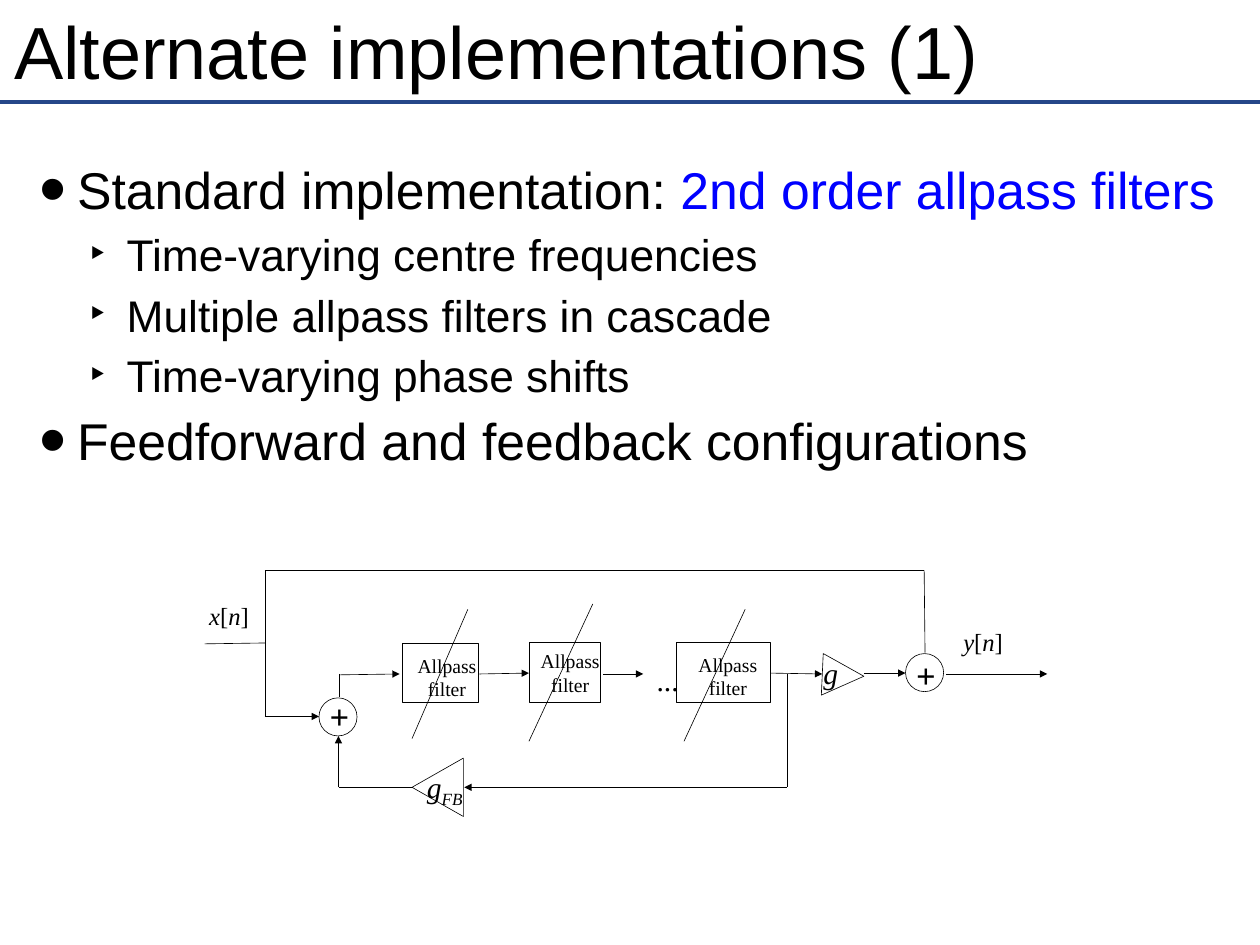
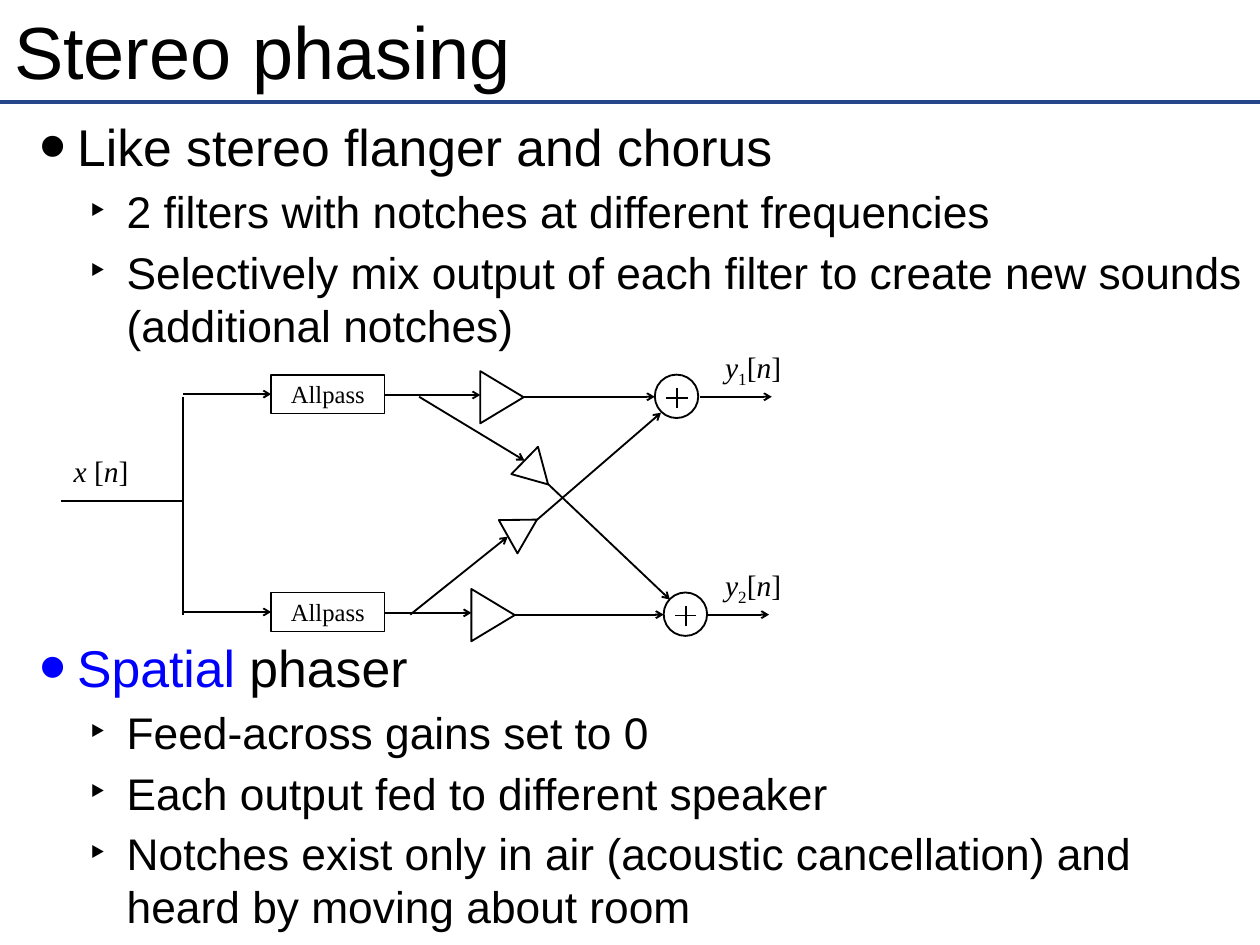
from lxml import etree
from pptx import Presentation
from pptx.dml.color import RGBColor
from pptx.enum.shapes import MSO_CONNECTOR, MSO_SHAPE
from pptx.enum.text import MSO_ANCHOR, MSO_AUTO_SIZE, PP_ALIGN
from pptx.oxml.ns import qn
from pptx.util import Pt

PX = 9144
WIDTH, HEIGHT = 1422, 1067
BLACK = RGBColor(0x00, 0x00, 0x00)
WHITE = RGBColor(0xFF, 0xFF, 0xFF)
BLUE = RGBColor(0x00, 0x00, 0xFF)
RULE = RGBColor(0x25, 0x47, 0x89)
SANS, SERIF = "Arial", "Times New Roman"
STRAIGHT = MSO_CONNECTOR.STRAIGHT
RECT, OVAL, TRIANGLE = MSO_SHAPE.RECTANGLE, MSO_SHAPE.OVAL, MSO_SHAPE.ISOSCELES_TRIANGLE
TOP, MIDDLE = MSO_ANCHOR.TOP, MSO_ANCHOR.MIDDLE
LEFT, CENTER = PP_ALIGN.LEFT, PP_ALIGN.CENTER
NO_FIT = MSO_AUTO_SIZE.NONE

LEVELS = [
    dict(size=42, margin=69, char="•", scale=150),
    dict(size=36, margin=125, char="‣", scale=100),
]
HANGING = 42

ALTERNATE = [
    (0, [("Standard implementation: ", BLACK), ("2nd order allpass filters", BLUE)]),
    (1, [("Time-varying centre frequencies", BLACK)]),
    (1, [("Multiple allpass filters in cascade", BLACK)]),
    (1, [("Time-varying phase shifts", BLACK)]),
    (0, [("Feedforward and feedback configurations", BLACK)]),
]
STEREO = [
    (0, [("Like stereo flanger and chorus", BLACK)]),
    (1, [("2 filters with notches at different frequencies", BLACK)]),
    (1, [("Selectively mix output of each filter to create new sounds "
          "(additional notches)", BLACK)]),
]
SPATIAL = [
    (0, [("Spatial ", BLUE), ("phaser", BLACK)]),
    (1, [("Feed-across gains set to 0", BLACK)]),
    (1, [("Each output fed to different speaker", BLACK)]),
    (1, [("Notches exist only in air (acoustic cancellation) and heard by "
          "moving about room", BLACK)]),
]


def signal(name, sub=""):
    return [(name, "i"), (sub, "_"), ("[", ""), ("n", "i"), ("]", "")]


FILTER = [[("Allpass", "")], [("filter", "")]]

CASCADE_SHAPES = [
    (RECT, (454, 727, 86, 66), 0.75),
    (RECT, (597, 726, 81, 67), 0.75),
    (RECT, (764, 726, 106, 67), 0.75),
    (OVAL, (1022, 738, 43, 43), 0.5),
    (OVAL, (360, 788, 43, 43), 0.5),
]
FEEDBACK_GAIN = [(465, 889), (523, 856), (523, 922)]
FORWARD_GAIN = (928, 739, 47, 47)
CASCADE_LINES = [
    (231, 727, 299, 726), (465, 889, 383, 889), (383, 761, 383, 787),
    (299, 644, 1043, 644), (1043, 644, 1044, 737), (299, 645, 299, 808),
    (889, 761, 889, 889),
    (465, 834, 528, 688), (597, 837, 669, 682), (772, 837, 841, 688),
]
CASCADE_ARROWS = [
    (681, 761, 726, 761), (888, 889, 524, 889), (383, 762, 451, 761),
    (1068, 761, 1182, 761), (299, 809, 360, 809), (382, 889, 382, 831),
    (541, 761, 597, 760), (870, 760, 928, 761), (975, 760, 1022, 760),
]
CASCADE_LABELS = [
    ((236, 679, 45, 34), [signal("x")], 20),
    ((1087, 708, 45, 34), [signal("y")], 20),
    ((471, 738, 67, 54), FILTER, 16),
    ((610, 733, 67, 54), FILTER, 16),
    ((788, 737, 67, 54), FILTER, 16),
    ((741, 748, 25, 40), [[("...", "")]], 24),
    ((480, 868, 44, 40), [[("g", "i"), ("FB", "i_")]], 24),
    ((929, 740, 17, 40), [[("g", "i")]], 24),
    ((1034, 738, 22, 47), [[("+", "b")]], 28),
    ((372, 785, 22, 47), [[("+", "b")]], 28),
]

CHANNELS = [
    dict(y=448, sub="1", gain=537, adder=739, out=(790, 871)),
    dict(y=694, sub="2", gain=527, adder=749, out=(798, 868)),
]
STEREO_LINES = [(69, 566, 207, 566), (207, 448, 207, 694)]
CROSS_ARROWS = [
    (473, 448, 592, 520), (619, 547, 756, 677),
    (463, 694, 573, 606), (606, 587, 746, 466),
]
CROSS_GAINS = [((573, 512, 44, 37), 255), ((557, 578, 44, 37), 300)]


def emu(*lengths):
    return [round(v * PX) for v in lengths]


def set_frame(tf, inset, anchor, wrap=True):
    tf.word_wrap = wrap
    tf.auto_size = NO_FIT
    tf.vertical_anchor = anchor
    tf.margin_left = tf.margin_right = tf.margin_top = tf.margin_bottom = inset * PX


def add_run(p, text, font, size, color=BLACK):
    r = p.add_run()
    r.text = text
    r.font.name = font
    r.font.size = Pt(size)
    r.font.color.rgb = color
    return r


def add_line(s, ends, width, arrow=None, color=BLACK):
    line = s.shapes.add_connector(STRAIGHT, *emu(*ends))
    line.line.color.rgb = color
    line.line.width = Pt(width)
    if arrow:
        etree.SubElement(line.line._get_or_add_ln(), qn("a:tailEnd"), type=arrow)
    etree.SubElement(line._element.spPr, qn("a:effectLst"))


def style(sp, width, fill=None):
    sp.shadow.inherit = False
    if fill is None:
        sp.fill.background()
    else:
        sp.fill.solid()
        sp.fill.fore_color.rgb = fill
    sp.line.color.rgb = BLACK
    sp.line.width = Pt(width)


def add_shape(s, kind, at, width, fill=None, rotation=0):
    sp = s.shapes.add_shape(kind, *emu(*at))
    sp.rotation = rotation
    style(sp, width, fill)
    return sp


def write_label(tf, paragraphs, size):
    for i, runs in enumerate(paragraphs):
        p = tf.add_paragraph() if i else tf.paragraphs[0]
        p.alignment = CENTER
        for text, marks in runs:
            if not text:
                continue
            r = add_run(p, text, SERIF, size)
            r.font.italic = "i" in marks
            r.font.bold = "b" in marks
            if "_" in marks:
                r.font._element.set("baseline", "-25000")


def add_label(s, at, paragraphs, size):
    tf = s.shapes.add_textbox(*emu(*at)).text_frame
    set_frame(tf, 0, TOP, wrap=False)
    write_label(tf, paragraphs, size)


def add_bullets(s, top, height, items, anchor=TOP):
    tf = s.shapes.add_textbox(*emu(12, top, 1401, height)).text_frame
    set_frame(tf, 6, anchor)
    for i, (level, runs) in enumerate(items):
        look = LEVELS[level]
        p = tf.add_paragraph() if i else tf.paragraphs[0]
        p.level = level
        if i:
            p.space_before = Pt(6)
        pPr = p._p.get_or_add_pPr()
        pPr.set("marL", str(look["margin"] * PX))
        pPr.set("indent", str(-HANGING * PX))
        etree.SubElement(pPr, qn("a:buSzPct"), val=str(look["scale"] * 1000))
        etree.SubElement(pPr, qn("a:buFont"), typeface=SANS)
        etree.SubElement(pPr, qn("a:buChar"), char=look["char"])
        for text, color in runs:
            add_run(p, text, SANS, look["size"], color)


def new_slide(prs, title):
    s = prs.slides.add_slide(prs.slide_layouts[5])
    add_line(s, (0, 115, WIDTH, 115), 3, color=RULE)
    sp = s.shapes.title
    sp.left, sp.top, sp.width, sp.height = emu(10, 6, 1401, 101)
    set_frame(sp.text_frame, 6, MIDDLE)
    p = sp.text_frame.paragraphs[0]
    p.alignment = LEFT
    add_run(p, title, SANS, 60)
    return s


def draw_cascade(s):
    for kind, at, width in CASCADE_SHAPES:
        add_shape(s, kind, at, width, WHITE)
    start, *rest = FEEDBACK_GAIN
    outline = s.shapes.build_freeform(*start, scale=PX)
    outline.add_line_segments(rest, close=True)
    style(outline.convert_to_shape(), 0.5, WHITE)
    add_shape(s, TRIANGLE, FORWARD_GAIN, 0.5, rotation=92.6)
    for ends in CASCADE_LINES:
        add_line(s, ends, 0.5)
    for ends in CASCADE_ARROWS:
        add_line(s, ends, 0.5, "triangle")
    for label in CASCADE_LABELS:
        add_label(s, *label)


def draw_channel(s, y, sub, gain, adder, out):
    for ends in [
        (207, y - 3, 306, y - 3), (434, y - 2, gain + 5, y - 2),
        (gain + 54, y, adder, y), (out[0], y, out[1], y),
    ]:
        add_line(s, ends, 1.5, "arrow")
    box = add_shape(s, RECT, (306, y - 25, 128, 44), 1.5)
    set_frame(box.text_frame, 5, MIDDLE)
    write_label(box.text_frame, [[("Allpass", "")]], 20)
    add_shape(s, TRIANGLE, (gain, y - 24, 59, 49), 1.5, rotation=90)
    add_shape(s, OVAL, (adder, y - 25, 49, 49), 1.5)
    mid = adder + 25
    add_line(s, (mid - 12, y + 1, mid + 12, y + 1), 1.5)
    add_line(s, (mid, y - 10, mid, y + 13), 1.5)
    add_label(s, (807, y - 54, 86, 40), [signal("y", sub)], 24)


def draw_stereo(s):
    for ends in STEREO_LINES:
        add_line(s, ends, 1.5)
    for ends in CROSS_ARROWS[::2] + CROSS_ARROWS[1::2]:
        add_line(s, ends, 1.5, "arrow" if ends in CROSS_ARROWS else None)
    for at, rotation in CROSS_GAINS:
        add_shape(s, TRIANGLE, at, 1.5, rotation=rotation)
    for channel in CHANNELS:
        draw_channel(s, **channel)
    add_label(s, (74, 512, 80, 40), [signal("x ")], 24)


def main():
    prs = Presentation()
    prs.slide_width, prs.slide_height = emu(WIDTH, HEIGHT)

    s = new_slide(prs, "Alternate implementations (1)")
    add_bullets(s, 124, 462, ALTERNATE, MIDDLE)
    draw_cascade(s)

    s = new_slide(prs, "Stereo phasing")
    add_bullets(s, 124, 276, STEREO)
    add_bullets(s, 712, 347, SPATIAL)
    draw_stereo(s)

    prs.save("out.pptx")


if __name__ == "__main__":
    main()
